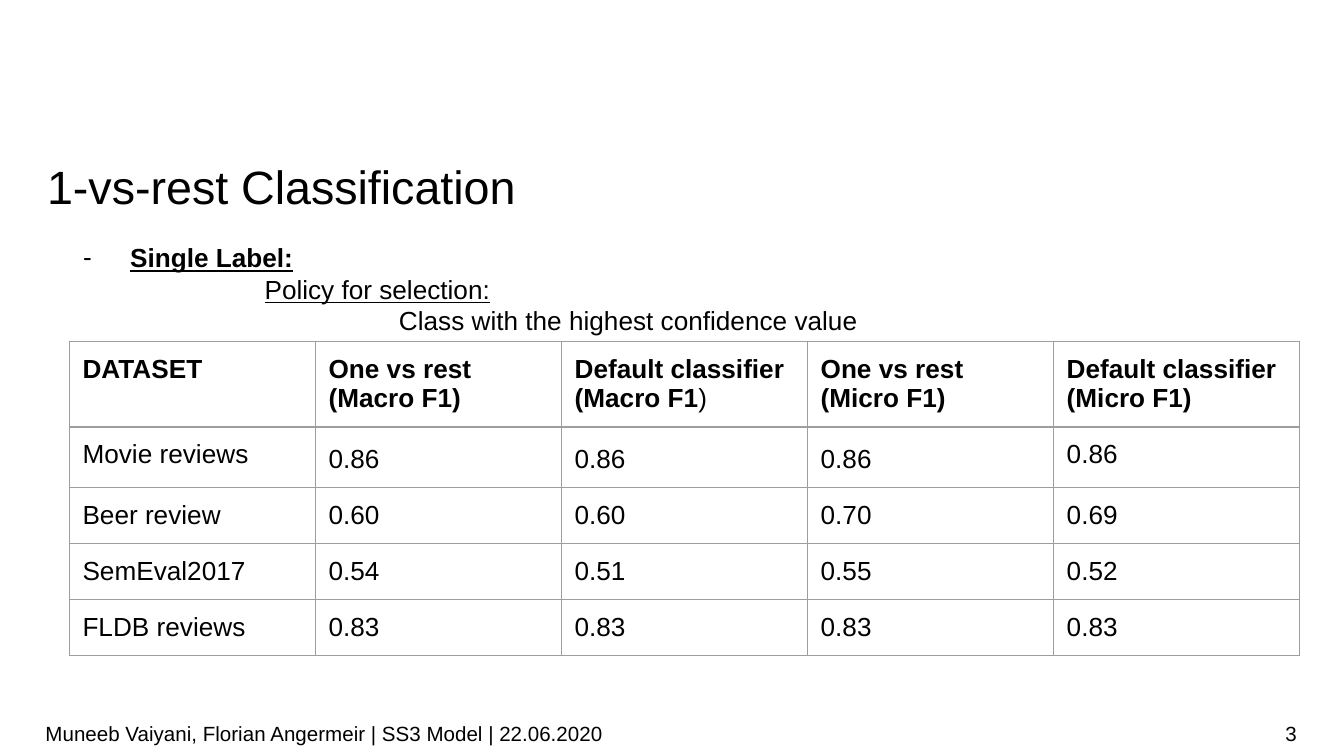
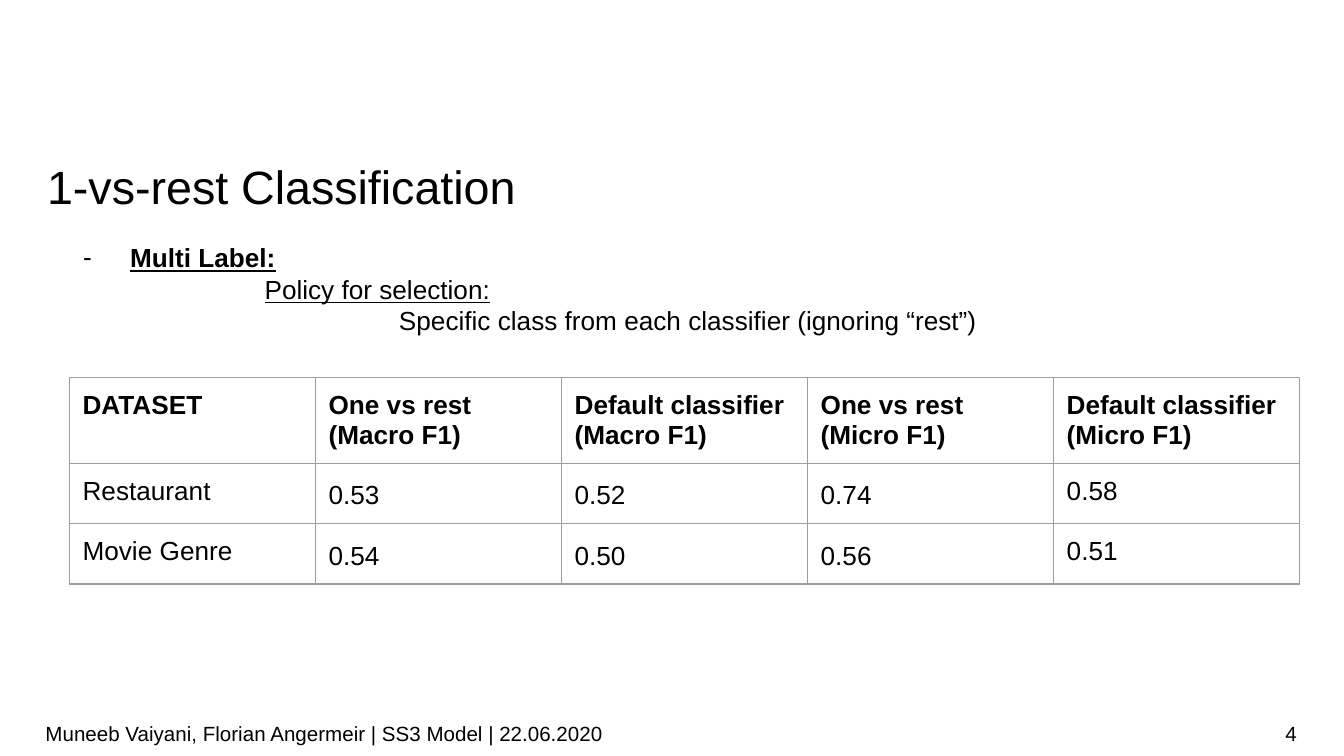
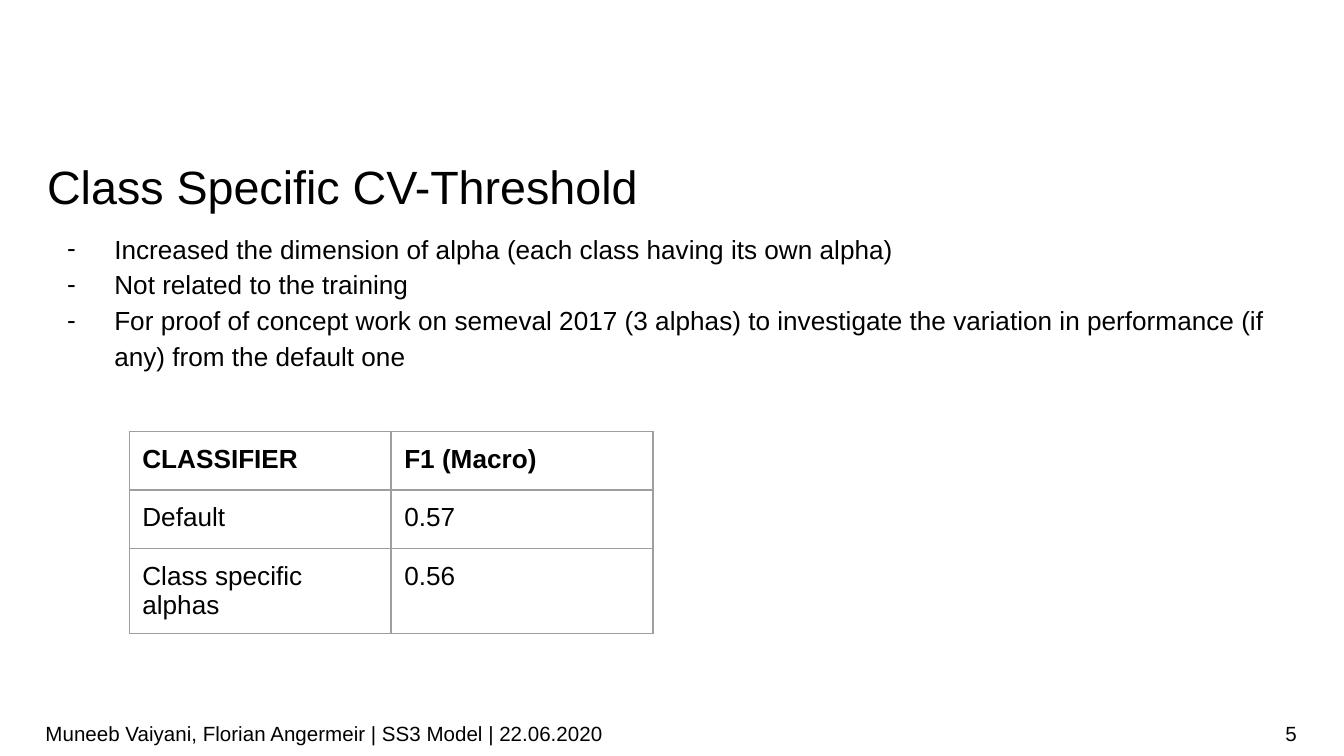
"""Build three slides on classifier results with lists and tables."""
import lxml.etree
import pptx
import pptx.dml.color
import pptx.enum.text
import pptx.oxml.ns
import pptx.util

Cm = pptx.util.Cm
ALIGN = pptx.enum.text.PP_ALIGN
ANCHOR = pptx.enum.text.MSO_ANCHOR


def color(hex_string):
    return pptx.dml.color.RGBColor.from_string(hex_string)


def add_xml(parent, tag, **attributes):
    return lxml.etree.SubElement(parent, pptx.oxml.ns.qn(tag), **attributes)


def write(para, text, size=14, bold=False, underline=False, ink="000000",
          align=ALIGN.LEFT, spacing=1.0):
    para.alignment = align
    para.line_spacing = spacing
    para.space_before = para.space_after = pptx.util.Pt(0)
    span = para.add_run()
    span.text = text
    span.font.name = "Arial"
    span.font.size = pptx.util.Pt(size)
    span.font.bold = bold
    span.font.underline = underline
    span.font.color.rgb = color(ink)


class SlideWriter:
    ink = "000000"
    border = "9E9E9E"
    footer_text = "Muneeb Vaiyani, Florian Angermeir | SS3 Model | 22.06.2020"

    def __init__(self, deck):
        self.deck = deck
        self.page = None

    def start(self, title, number):
        self.page = self.deck.slides.add_slide(self.deck.slide_layouts[1])
        frame = self.place(self.page.shapes.title, 0.89, 2.69, 23.65, 1.07)
        write(frame.paragraphs[0], title, size=25, spacing=1.28)
        self.footer(self.footer_text, 0.86, 17.96, ALIGN.LEFT)
        self.footer(str(number), 18.82, 5.69, ALIGN.RIGHT)

    def place(self, box, left, top, width, height, side=0, edge=0, anchor=ANCHOR.TOP):
        box.left, box.top, box.width, box.height = map(Cm, (left, top, width, height))
        frame = box.text_frame
        frame.word_wrap = True
        frame.auto_size = pptx.enum.text.MSO_AUTO_SIZE.NONE
        frame.vertical_anchor = anchor
        frame.margin_left = frame.margin_right = Cm(side)
        frame.margin_top = frame.margin_bottom = Cm(edge)
        return frame

    def footer(self, text, left, width, align):
        box = self.page.shapes.add_textbox(0, 0, 0, 0)
        frame = self.place(box, left, 13.49, width, 0.76, edge=0.13, anchor=ANCHOR.MIDDLE)
        write(frame.paragraphs[0], text, size=11, align=align)

    def body(self, lines, left=0.89, width=23.65, inset=0.0, spacing=1.0):
        frame = self.place(self.page.placeholders[1], left, 4.32, width, 8.7, inset, inset)
        for index, (text, indent, dashed, style) in enumerate(lines):
            para = frame.add_paragraph() if index else frame.paragraphs[0]
            write(para, text, spacing=spacing, **style)
            self.indent(para, indent, dashed)

    def indent(self, para, indent, dashed):
        properties = para._p.get_or_add_pPr()
        properties.set("marL", str(Cm(indent)))
        properties.set("indent", str(Cm(-0.89 if dashed else 0)))
        if dashed:
            add_xml(add_xml(properties, "a:buClr"), "a:srgbClr", val=self.ink)
            add_xml(properties, "a:buChar", char="-")
        else:
            add_xml(properties, "a:buNone")

    def table(self, rows, left, top, column_width, row_heights, loose_rows=()):
        columns = len(rows[0])
        table = self.page.shapes.add_table(
            len(rows), columns, Cm(left), Cm(top),
            Cm(column_width * columns), Cm(sum(row_heights))).table
        table.first_row = table.horz_banding = False
        for column in table.columns:
            column.width = Cm(column_width)
        for row_index, (values, height) in enumerate(zip(rows, row_heights)):
            table.rows[row_index].height = Cm(height)
            for column_index, text in enumerate(values):
                loose = row_index in loose_rows and 0 < column_index < columns - 1
                self.cell(table.cell(row_index, column_index), text,
                          bold=row_index == 0, spacing=1.15 if loose else 1.0)
        return table

    def cell(self, cell, text, **style):
        cell.margin_left = cell.margin_right = Cm(0.25)
        cell.margin_top = cell.margin_bottom = Cm(0.25)
        for index, line in enumerate(text.split("\n")):
            frame = cell.text_frame
            write(frame.add_paragraph() if index else frame.paragraphs[0], line, **style)
        properties = cell._tc.get_or_add_tcPr()
        for side in ("a:lnL", "a:lnR", "a:lnT", "a:lnB"):
            line = add_xml(properties, side, w=str(pptx.util.Pt(0.75)))
            add_xml(add_xml(line, "a:solidFill"), "a:srgbClr", val=self.border)
        cell.fill.background()


def policy_slide(writer, number, label, policy, rows, **table_format):
    writer.start("1-vs-rest Classification", number)
    writer.body([
        (label, 1.27, True, {"bold": True, "underline": True}),
        ("Policy for selection:", 3.81, False, {"underline": True}),
        (policy, 6.35, False, {}),
    ], left=0.94, width=23.5, inset=0.25)
    header = ["DATASET"] + [f"{method}\n({score} F1)" for score in ("Macro", "Micro")
                            for method in ("One vs rest", "Default classifier")]
    return writer.table([header] + rows, left=1.31, column_width=4.65, **table_format)


def main():
    deck = pptx.Presentation()
    deck.slide_width, deck.slide_height = Cm(25.4), Cm(14.29)
    writer = SlideWriter(deck)

    single = policy_slide(
        writer, 3, "Single Label:", "Class with the highest confidence value",
        [["Movie reviews", "0.86", "0.86", "0.86", "0.86"],
         ["Beer review", "0.60", "0.60", "0.70", "0.69"],
         ["SemEval2017", "0.54", "0.51", "0.55", "0.52"],
         ["FLDB reviews", "0.83", "0.83", "0.83", "0.83"]],
        top=6.45, row_heights=[1.62, 1.14, 1.06, 1.06, 1.06], loose_rows=(1,))
    macro = single.cell(0, 2).text_frame.paragraphs[1]
    macro.runs[0].text = "(Macro F1"
    write(macro, ")")

    policy_slide(
        writer, 4, "Multi Label:", "Specific class from each classifier (ignoring “rest”)",
        [["Restaurant", "0.53", "0.52", "0.74", "0.58"],
         ["Movie Genre", "0.54", "0.50", "0.56", "0.51"]],
        top=7.14, row_heights=[1.62, 1.14, 1.14], loose_rows=(1, 2))

    writer.start("Class Specific CV-Threshold", 5)
    points = [
        "Increased the dimension of alpha (each class having its own alpha)",
        "Not related to the training",
        "For proof of concept work on semeval 2017 (3 alphas) to investigate "
        "the variation in performance (if any) from the default one",
    ]
    writer.body([(point, 1.27, True, {}) for point in points], spacing=1.14)
    writer.table(
        [["CLASSIFIER", "F1 (Macro)"], ["Default", "0.57"], ["Class specific alphas", "0.56"]],
        left=2.44, top=8.15, column_width=4.95, row_heights=[1.11, 1.11, 1.61])

    deck.save("out.pptx")


if __name__ == "__main__":
    main()
